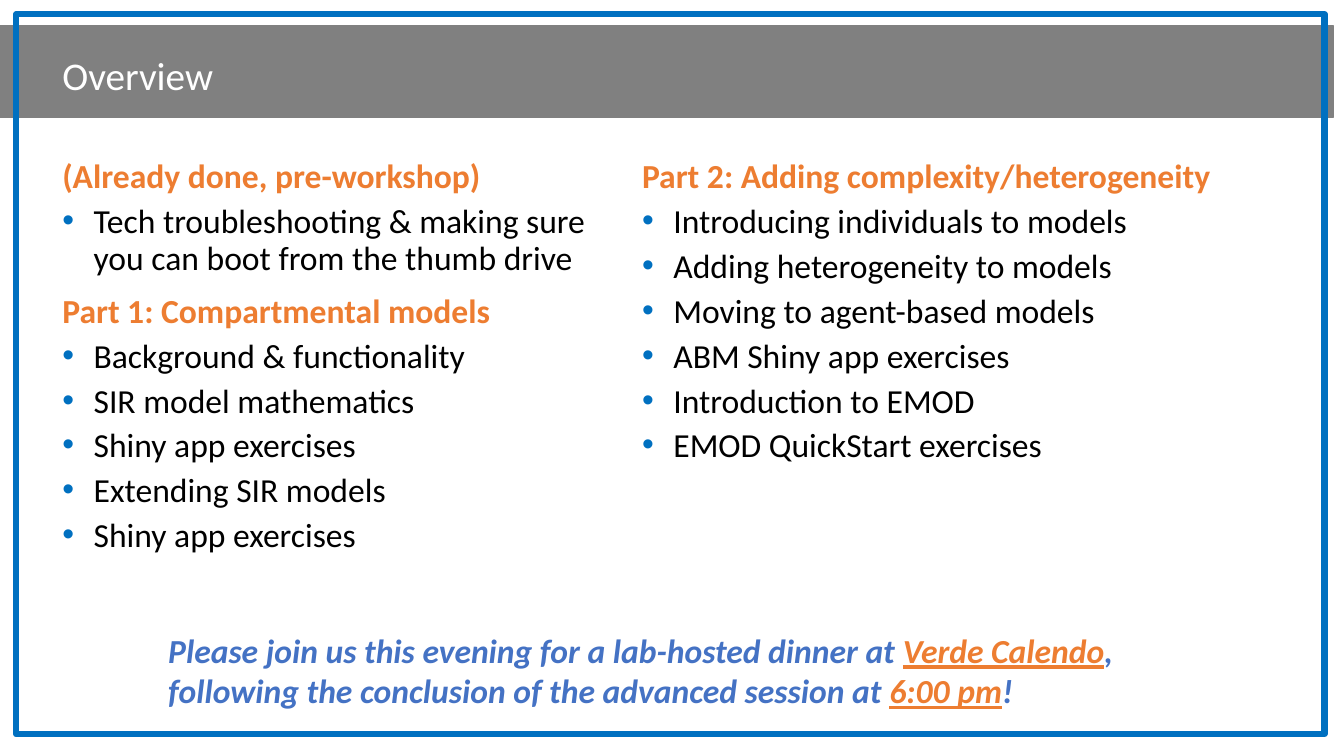
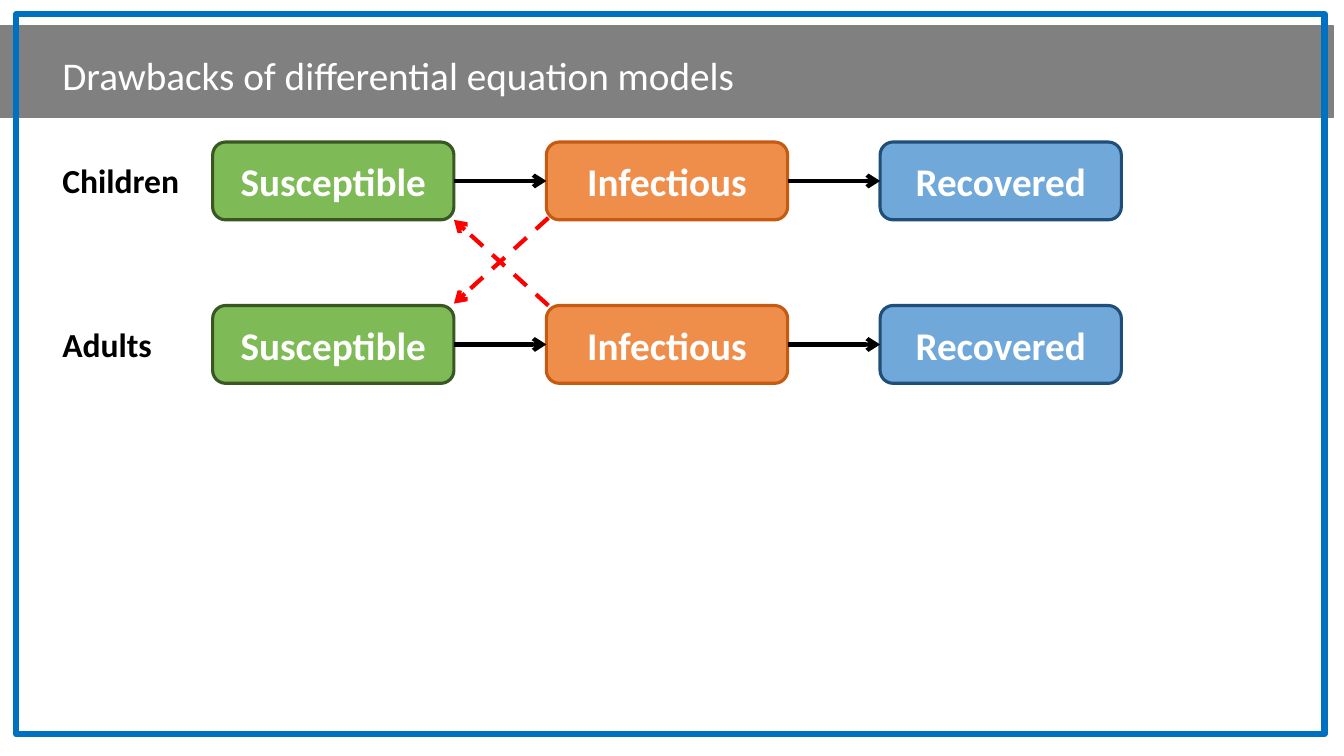
from dataclasses import dataclass
from typing import NamedTuple

from lxml.etree import SubElement
from pptx import Presentation
from pptx.dml.color import RGBColor
from pptx.enum.dml import MSO_LINE
from pptx.enum.shapes import MSO_CONNECTOR, MSO_SHAPE
from pptx.enum.text import MSO_ANCHOR, MSO_AUTO_SIZE, PP_ALIGN
from pptx.oxml.ns import qn
from pptx.shapes.autoshape import Shape
from pptx.shapes.connector import Connector
from pptx.slide import Slide
from pptx.text.text import Font, TextFrame, _Paragraph
from pptx.util import Cm, Pt


@dataclass(frozen=True)
class Theme:
    font: str = "Calibri"
    white: str = "FFFFFF"
    ink: str = "000000"
    band: str = "808080"
    frame: str = "0070C0"
    heading: str = "ED7D31"
    invitation: str = "4472C4"
    contact: str = "FF0000"
    title_size: float = 28
    state_size: float = 28
    body_size: float = 24
    body_spacing: float = 26
    body_gap: float = 6
    frame_width: float = 4.5
    state_width: float = 2.25
    arrow_width: float = 3


THEME = Theme()


class Box(NamedTuple):
    left: float
    top: float
    width: float
    height: float

    def lengths(self) -> tuple[Cm, ...]:
        return tuple(Cm(value) for value in self)


class Section(NamedTuple):
    heading: str
    topics: list[str]


class Column(NamedTuple):
    box: Box
    sections: list[Section]


class State(NamedTuple):
    label: str
    fill: str
    outline: str


BAND = Box(0, 0.66, 33.6, 2.29)
FRAME = Box(0.41, 0.36, 32.97, 18.14)
TITLE = Box(1.32, 1.17, 22.96, 1.45)
INVITATION = Box(3.99, 15.75, 26.97, 2.31)
BULLET_INDENT = 0.79

COLUMNS = [
    Column(Box(1.32, 3.89, 13.72, 12.57), [
        Section("(Already done, pre-workshop)", [
            "Tech troubleshooting & making sure you can boot from the thumb drive",
        ]),
        Section("Part 1: Compartmental models", [
            "Background & functionality",
            "SIR model mathematics",
            "Shiny app exercises",
            "Extending SIR models",
            "Shiny app exercises",
        ]),
    ]),
    Column(Box(15.93, 3.89, 15.98, 8.03), [
        Section("Part 2: Adding complexity/heterogeneity", [
            "Introducing individuals to models",
            "Adding heterogeneity to models",
            "Moving to agent-based models",
            "ABM Shiny app exercises",
            "Introduction to EMOD",
            "EMOD QuickStart exercises",
        ]),
    ]),
]

INVITATION_PARTS = [
    ("Please join us this evening for a lab-hosted dinner at ", False),
    ("Verde Calendo", True),
    (", following the conclusion of the advanced session at ", False),
    ("6:00 pm", True),
    ("!", False),
]

STATES = [
    State("Susceptible", "7EBA56", "385723"),
    State("Infectious", "EF8D4B", "C55A11"),
    State("Recovered", "70A8DA", "1F4E79"),
]
GROUPS = ["Children", "Adults"]
FIRST_STATE = Box(5.36, 3.58, 6.08, 1.96)
STATE_PITCH = 8.41
GROUP_PITCH = 4.12
GROUP_LABEL = Box(1.32, 3.91, 3.63, 1.27)
CORNER_INSET = 0.05


def rgb(color: str) -> RGBColor:
    return RGBColor.from_string(color)


def style_font(font: Font, size: float, color: str, bold: bool = False) -> None:
    font.name = THEME.font
    font.size = Pt(size)
    font.bold = bold
    font.color.rgb = rgb(color)


def add_panel(slide: Slide, preset: MSO_SHAPE, box: Box, fill: str | None,
              outline: str, width: float) -> Shape:
    panel = slide.shapes.add_shape(preset, *box.lengths())
    panel.shadow.inherit = False
    if fill:
        panel.fill.solid()
        panel.fill.fore_color.rgb = rgb(fill)
    else:
        panel.fill.background()
    panel.line.color.rgb = rgb(outline)
    panel.line.width = Pt(width)
    return panel


def add_text(slide: Slide, box: Box) -> TextFrame:
    frame = slide.shapes.add_textbox(*box.lengths()).text_frame
    frame.word_wrap = True
    return frame


def add_titled_slide(deck: Presentation, text: str) -> Slide:
    slide = deck.slides.add_slide(deck.slide_layouts[5])
    add_panel(slide, MSO_SHAPE.RECTANGLE, BAND, THEME.band, THEME.band, 1)
    add_panel(slide, MSO_SHAPE.RECTANGLE, FRAME, None, THEME.frame, THEME.frame_width)
    title = slide.shapes.title
    title.left, title.top, title.width, title.height = TITLE.lengths()
    title.text_frame.text = text
    title.text_frame.auto_size = MSO_AUTO_SIZE.NONE
    title.text_frame.vertical_anchor = MSO_ANCHOR.TOP
    heading = title.text_frame.paragraphs[0]
    heading.alignment = PP_ALIGN.LEFT
    style_font(heading.font, THEME.title_size, THEME.white)
    slide.shapes._spTree.append(title._element)
    return slide


def add_bullet(paragraph: _Paragraph) -> None:
    properties = paragraph._p.get_or_add_pPr()
    indent = Cm(BULLET_INDENT)
    properties.set("marL", str(indent))
    properties.set("indent", str(-indent))
    color = SubElement(properties, qn("a:buClr"))
    SubElement(color, qn("a:srgbClr"), val=THEME.frame)
    SubElement(properties, qn("a:buFont"), typeface="Arial")
    SubElement(properties, qn("a:buChar"), char="•")


def add_column(slide: Slide, column: Column) -> None:
    frame = add_text(slide, column.box)
    lines = [
        (text, position == 0)
        for section in column.sections
        for position, text in enumerate([section.heading, *section.topics])
    ]
    for index, (text, is_heading) in enumerate(lines):
        paragraph = frame.add_paragraph() if index else frame.paragraphs[0]
        paragraph.text = text
        if not is_heading:
            add_bullet(paragraph)
        paragraph.line_spacing = Pt(THEME.body_spacing)
        paragraph.space_before = Pt(THEME.body_gap if is_heading and index else 0)
        paragraph.space_after = Pt(THEME.body_gap)
        color = THEME.heading if is_heading else THEME.ink
        style_font(paragraph.font, THEME.body_size, color, is_heading)


def add_invitation(slide: Slide) -> None:
    paragraph = add_text(slide, INVITATION).paragraphs[0]
    style_font(paragraph.font, THEME.body_size, THEME.invitation, True)
    paragraph.font.italic = True
    for text, highlighted in INVITATION_PARTS:
        run = paragraph.add_run()
        run.text = text
        if highlighted:
            run.font.color.rgb = rgb(THEME.heading)
            run.font.underline = True


def add_state(slide: Slide, state: State, box: Box) -> Shape:
    panel = add_panel(slide, MSO_SHAPE.ROUNDED_RECTANGLE, box, state.fill,
                      state.outline, THEME.state_width)
    panel.text_frame.text = state.label
    panel.text_frame.vertical_anchor = MSO_ANCHOR.MIDDLE
    label = panel.text_frame.paragraphs[0]
    label.alignment = PP_ALIGN.CENTER
    style_font(label.font, THEME.state_size, THEME.white, True)
    return panel


def add_arrow(slide: Slide, start: tuple[int, int], end: tuple[int, int],
              color: str) -> Connector:
    arrow = slide.shapes.add_connector(MSO_CONNECTOR.STRAIGHT, *start, *end)
    arrow.line.color.rgb = rgb(color)
    arrow.line.width = Pt(THEME.arrow_width)
    SubElement(arrow.line._get_or_add_ln(), qn("a:tailEnd"), type="arrow")
    SubElement(arrow._element.spPr, qn("a:effectLst"))
    return arrow


def add_transition(slide: Slide, source: Shape, target: Shape) -> None:
    middle = source.top + source.height // 2
    arrow = add_arrow(slide, (source.left + source.width, middle),
                      (target.left, middle), THEME.ink)
    arrow.begin_connect(source, 3)
    arrow.end_connect(target, 1)


def add_group(slide: Slide, name: str, row: int) -> list[Shape]:
    drop = row * GROUP_PITCH
    states = [
        add_state(slide, state, FIRST_STATE._replace(
            left=FIRST_STATE.left + position * STATE_PITCH,
            top=FIRST_STATE.top + drop))
        for position, state in enumerate(STATES)
    ]
    for source, target in zip(states, states[1:]):
        add_transition(slide, source, target)
    label = add_text(slide, GROUP_LABEL._replace(top=GROUP_LABEL.top + drop))
    label.text = name
    style_font(label.paragraphs[0].font, THEME.body_size, THEME.ink, True)
    return states


def add_cross_infection(slide: Slide, children: list[Shape], adults: list[Shape]) -> None:
    inset = Cm(CORNER_INSET)
    start_x = children[1].left + inset
    end_x = children[0].left + children[0].width
    children_bottom = children[0].top + children[0].height
    adults_top = adults[0].top
    for start_y, end_y in [
        (children_bottom - inset, adults_top - inset),
        (adults_top, children_bottom),
    ]:
        arrow = add_arrow(slide, (start_x, start_y), (end_x, end_y), THEME.contact)
        arrow.line.dash_style = MSO_LINE.DASH


def build_overview(deck: Presentation) -> None:
    slide = add_titled_slide(deck, "Overview")
    for column in COLUMNS:
        add_column(slide, column)
    add_invitation(slide)


def build_drawbacks(deck: Presentation) -> None:
    slide = add_titled_slide(deck, "Drawbacks of differential equation models")
    children, adults = [add_group(slide, name, row) for row, name in enumerate(GROUPS)]
    add_cross_infection(slide, children, adults)


def main() -> None:
    deck = Presentation()
    deck.slide_width, deck.slide_height = Cm(33.87), Cm(19.05)
    build_overview(deck)
    build_drawbacks(deck)
    deck.save("out.pptx")


if __name__ == "__main__":
    main()
